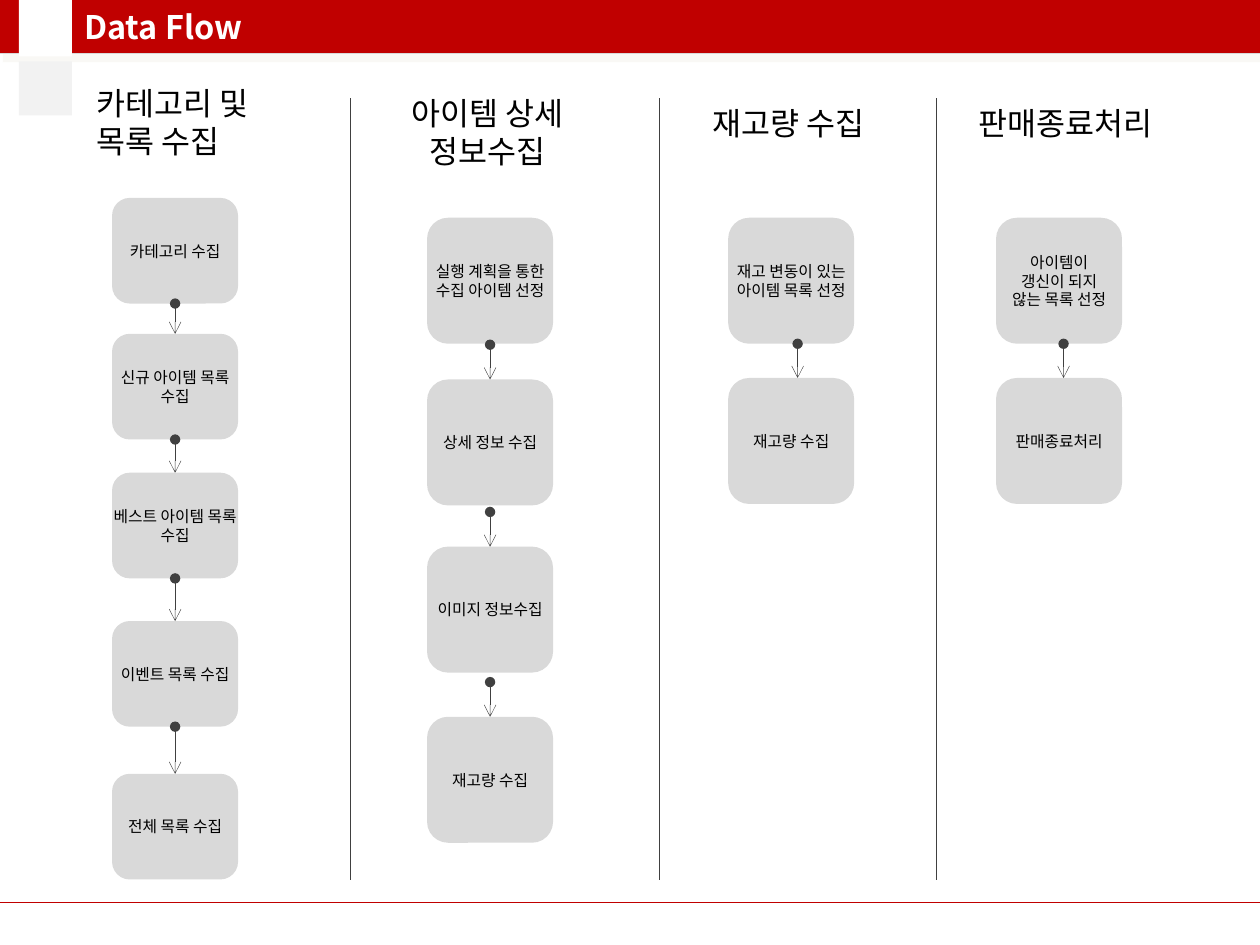
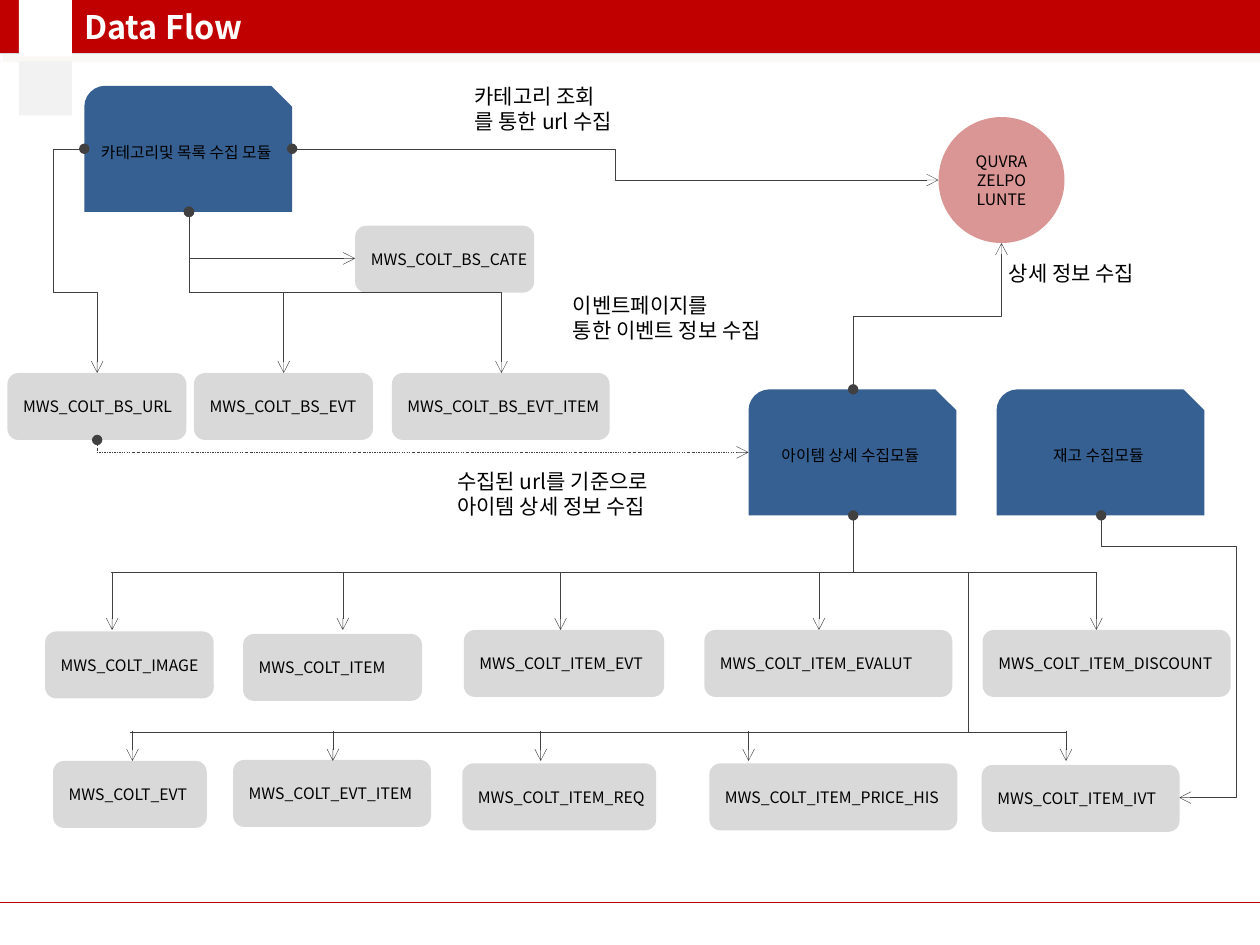
from dataclasses import dataclass

from lxml.etree import SubElement
from pptx import Presentation
from pptx.dml.color import RGBColor
from pptx.enum.dml import MSO_LINE
from pptx.enum.shapes import MSO_CONNECTOR, MSO_SHAPE
from pptx.enum.text import MSO_ANCHOR, MSO_AUTO_SIZE, PP_ALIGN
from pptx.oxml.ns import qn
from pptx.util import Cm, Pt

RECT, ROUND = MSO_SHAPE.RECTANGLE, MSO_SHAPE.ROUNDED_RECTANGLE
SNIP, OVAL = MSO_SHAPE.SNIP_ROUND_RECTANGLE, MSO_SHAPE.OVAL
LEFT, MID = PP_ALIGN.LEFT, PP_ALIGN.CENTER
CORE, GROW = MSO_ANCHOR.MIDDLE, MSO_AUTO_SIZE.SHAPE_TO_FIT_TEXT
DOTS, DASH = MSO_LINE.ROUND_DOT, MSO_LINE.DASH_DOT
STRAIGHT, ELBOW = MSO_CONNECTOR.STRAIGHT, MSO_CONNECTOR.ELBOW


@dataclass(frozen=True)
class Theme:
    """Colours, font and type sizes of the deck."""
    red: str = "C00000"
    white: str = "FFFFFF"
    pale: str = "F2F2F2"
    grey: str = "D9D9D9"
    shade: str = "EEECE1"
    blue: str = "376092"
    pink: str = "D99694"
    ink: str = "000000"
    wire: str = "404040"
    font: str = "Noto Sans CJK KR"
    title: float = 18.5
    head: float = 18
    note: float = 12
    label: float = 9
    thin: float = 0.25


THEME = Theme()


def tint(name):
    """Turn a hex string into a colour."""
    return RGBColor.from_string(name)


def write(frame, text, size, align=LEFT, color=THEME.ink, bold=False):
    """Fill a text frame, one paragraph for each line."""
    frame.text = text
    for para in frame.paragraphs:
        para.alignment = align
        font = para.font
        font.size, font.bold = Pt(size), bold
        font.color.rgb = tint(color)
        font.name = THEME.font
        base = para._p.pPr.find(qn("a:defRPr"))
        SubElement(base, qn("a:ea"), typeface=THEME.font)


@dataclass
class Area:
    """A box on a slide; parts are placed from its corner, in centimetres."""
    slide: object
    x: float
    y: float
    w: float
    h: float

    def block(self, kind, x, y, w, h, fill, text="", align=MID):
        """Add a filled shape with an optional label."""
        shape = self.slide.shapes.add_shape(
            kind, Cm(self.x + x), Cm(self.y + y), Cm(w), Cm(h))
        shape.shadow.inherit = False
        shape.fill.solid()
        shape.fill.fore_color.rgb = tint(fill)
        shape.line.fill.background()
        if text:
            frame = shape.text_frame
            frame.word_wrap = False
            frame.vertical_anchor = CORE
            write(frame, text, THEME.label, align)
        return shape

    def words(self, x, y, w, h, text, size, align=LEFT):
        """Add a text box that grows with its text."""
        box = self.slide.shapes.add_textbox(
            Cm(self.x + x), Cm(self.y + y), Cm(w), Cm(h))
        frame = box.text_frame
        frame.word_wrap = False
        frame.auto_size = GROW
        write(frame, text, size, align)

    def wire(self, start, end, head=False, tail=False,
             color=THEME.wire, dash=None, kind=STRAIGHT):
        """Add a thin line with an optional dot and arrow."""
        (ax, ay), (bx, by) = start, end
        link = self.slide.shapes.add_connector(
            kind, Cm(self.x + ax), Cm(self.y + ay),
            Cm(self.x + bx), Cm(self.y + by))
        link.line.width = Pt(THEME.thin)
        link.line.color.rgb = tint(color)
        if dash:
            link.line.dash_style = dash
        props = link._element.spPr
        edge = props.find(qn("a:ln"))
        if head:
            SubElement(edge, qn("a:headEnd"), type="oval")
        if tail:
            SubElement(edge, qn("a:tailEnd"), type="arrow")
        SubElement(props, qn("a:effectLst"))
        return link

    def bend(self, start, end, kind, turn=0, flip="", adj=(), dash=None):
        """Add an elbow arrow, turned by degrees about its centre."""
        (ax, ay), (bx, by) = start, end
        w, h = abs(bx - ax), abs(by - ay)
        if turn in (90, 270):
            w, h = h, w
        x, y = (ax + bx - w) / 2, (ay + by - h) / 2
        link = self.wire((x, y), (x + w, y + h), True, True,
                         dash=dash, kind=ELBOW)
        props = link._element.spPr
        frame = props.find(qn("a:xfrm"))
        frame.set("rot", str(turn * 60000))
        for axis in flip:
            frame.set("flip" + axis, "1")
        shape = props.find(qn("a:prstGeom"))
        shape.set("prst", f"bentConnector{kind}")
        guides = shape.find(qn("a:avLst"))
        for n, part in enumerate(adj, 1):
            SubElement(guides, qn("a:gd"), name=f"adj{n}",
                       fmla=f"val {round(part * 100000)}")


def cast(shape):
    """Give a shape the hard, pale shadow of the title band."""
    effects = shape._element.spPr.find(qn("a:effectLst"))
    shade = SubElement(effects, qn("a:outerShdw"), blurRad="0",
                       dist=str(Pt(5)), dir=str(70 * 60000),
                       algn="tl", rotWithShape="0")
    color = SubElement(shade, qn("a:srgbClr"), val=THEME.shade)
    SubElement(color, qn("a:alpha"), val="32000")


def page(deck, title):
    """Add a slide with the shared band, squares, rules and title."""
    slide = deck.slides.add_slide(deck.slide_layouts[6])
    area = Area(slide, 0, 0, 25.4, 19.05)
    cast(area.block(RECT, 0, 0, area.w, 1.09, THEME.red))
    for y, color in ((1.07, THEME.grey), (18.19, THEME.red)):
        area.wire((0, y), (area.w, y), color=color, dash=DOTS)
    area.block(RECT, 0.38, 0, 1.07, 1.14, THEME.white)
    area.block(RECT, 0.38, 1.24, 1.07, 1.09, THEME.pale)
    box = slide.shapes.add_textbox(Cm(1.45), Cm(0.03), Cm(22.86), Cm(1.02))
    box.text_frame.word_wrap = True
    box.text_frame.vertical_anchor = CORE
    write(box.text_frame, title, THEME.title, color=THEME.white, bold=True)
    return slide


def column(area, head, left, axis, steps, tall=2.54, reach=0.7):
    """Draw a heading and a chain of steps from top to bottom."""
    for y, text in steps:
        area.block(ROUND, left, y, 2.54, tall, THEME.grey, text)
    for (above, _), (below, _) in zip(steps, steps[1:]):
        start = max(above + tall, below - reach)
        area.wire((axis, start), (axis, below), True, True)
    area.words(*head)


def lanes(slide):
    """Draw the four columns and the rules between them."""
    edges = (0, 7.06, 13.28, 18.87, 25.4)
    areas = [Area(slide, a, 1.98, b - a, 15.75)
             for a, b in zip(edges, edges[1:])]
    size = THEME.head
    column(areas[0], (1.7, -0.41, 4.17, 1.8, "카테고리 및\n목록 수집", size),
           2.26, 3.53,
           ((2.01, "카테고리 수집"), (4.75, "신규 아이템 목록\n수집"),
            (7.55, "베스트 아이템 목록\n수집"), (10.54, "이벤트 목록 수집"),
            (13.62, "전체 목록 수집")), tall=2.13, reach=1)
    column(areas[1],
           (0.79, -0.2, 3.94, 1.8, "아이템 상세\n정보수집", size, MID),
           1.55, 2.82,
           ((2.41, "실행 계획을 통한\n수집 아이템 선정"),
            (5.67, "상세 정보 수집"), (9.04, "이미지 정보수집"),
            (12.47, "재고량 수집")))
    column(areas[2], (0.84, 0, 3.94, 1.02, "재고량 수집", size), 1.4, 2.8,
           ((2.41, "재고 변동이 있는\n아이템 목록 선정"),
            (5.64, "재고량 수집")))
    column(areas[3], (0.61, 0, 4.37, 1.02, "판매종료처리", size), 1.21, 2.57,
           ((2.41, "아이템이\n갱신이 되지\n않는 목록 선정"),
            (5.64, "판매종료처리")))
    for area in areas[1:]:
        area.wire((0, 0), (0, area.h))


def table(area, x, y, w, name):
    """Draw one database table as a grey box."""
    area.block(ROUND, x, y, w, 1.35, THEME.grey, "MWS_COLT_" + name, LEFT)


def unit(area, x, y, text):
    """Draw one collecting module as a blue box."""
    area.block(SNIP, x, y, 4.19, 2.54, THEME.blue, text)


def gather(area):
    """Draw the list module, the shops and the base tables."""
    for part in ((0.15, 6.02, 3.61, "BS_URL"), (7.16, 3.05, 3.61, "BS_CATE"),
                 (3.91, 6.02, 3.61, "BS_EVT"),
                 (7.9, 6.02, 4.39, "BS_EVT_ITEM")):
        table(area, *part)
    area.block(OVAL, 18.92, 0.86, 2.54, 2.54, THEME.pink,
               "QUVRA\nZELPO\nLUNTE")
    unit(area, 1.7, 0.23, "카테고리및 목록 수집 모듈")
    area.words(9.32, 0.05, 3.61, 1.27, "카테고리 조회\n를 통한 url 수집",
               THEME.note)
    area.words(11.3, 4.27, 4.83, 1.27,
               "이벤트페이지를\n통한 이벤트 정보 수집", THEME.note)
    foot = (3.81, 2.77)
    area.bend(foot, (7.16, 3.71), 2, 270, "H")
    for x in (5.72, 10.11):
        area.bend(foot, (x, 6.02), 3, 270, "H")
    area.bend((1.7, 1.5), (1.96, 6.02), 4, 180, "HV", (-2.41, 0.64))
    area.bend((5.89, 1.5), (18.92, 2.13), 3)


def detail(area):
    """Draw the item and stock modules with their links."""
    unit(area, 15.09, 0, "아이템 상세 수집모듈")
    unit(area, 20.09, 0, "재고 수집모듈")
    area.words(8.97, 1.47, 4.83, 1.27,
               "수집된 url를 기준으로\n아이템 상세 정보 수집", THEME.note)
    area.words(20.09, -2.72, 3.38, 0.76, "상세 정보 수집", THEME.note)
    area.bend((1.96, 1.02), (15.09, 1.27), 2, 270, "H", dash=DASH)
    area.bend((17.2, 0), (20.19, -2.95), 3, 90, "HV")
    area.wire((17.2, 2.54), (17.2, 3.68), head=True)
    area.bend((22.2, 2.54), (23.77, 8.23), 4, 270, "H", (0.11, 1.73))


def rack(area, top, foot, drops, tables):
    """Draw a bus line with arrows down to a row of tables."""
    for part in tables:
        table(area, *part)
    area.wire((0, 0), (area.w, 0))
    for x in drops:
        area.wire((x, top), (x, foot), tail=True)


def store(slide):
    """Draw the two rows of item tables and the line that joins them."""
    upper = Area(slide, 2.24, 11.53, 19.86, 2.6)
    lower = Area(slide, 2.62, 14.76, 18.87, 2.01)
    rack(upper, 0, 1.17, (0.02, 4.67, 9.06, 14.27, upper.w),
         ((-1.33, 1.2, 3.4, "IMAGE"), (2.66, 1.25, 3.61, "ITEM"),
          (7.11, 1.17, 4.04, "ITEM_EVT"), (11.96, 1.17, 5, "ITEM_EVALUT"),
          (17.57, 1.17, 5, "ITEM_DISCOUNT")))
    rack(lower, -0.03, 0.58, (0.05, 4.09, 8.28, 12.47, lower.w),
         ((-1.55, 0.58, 3.1, "EVT"), (2.08, 0.56, 3.99, "EVT_ITEM"),
          (6.7, 0.63, 3.91, "ITEM_REQ"), (11.68, 0.63, 5, "ITEM_PRICE_HIS"),
          (17.17, 0.66, 3.99, "ITEM_IVT")))
    upper.wire((17.27, 0), (17.27, lower.y - upper.y))


def main():
    """Build and save the deck."""
    deck = Presentation()
    deck.slide_width, deck.slide_height = Cm(25.4), Cm(19.05)
    lanes(page(deck, "Data Flow"))
    slide = page(deck, "Data Flow")
    gather(Area(slide, 0, 1.5, 25.4, 7.37))
    detail(Area(slide, 0, 7.85, 25.4, 3.68))
    store(slide)
    deck.save("out.pptx")


main()
